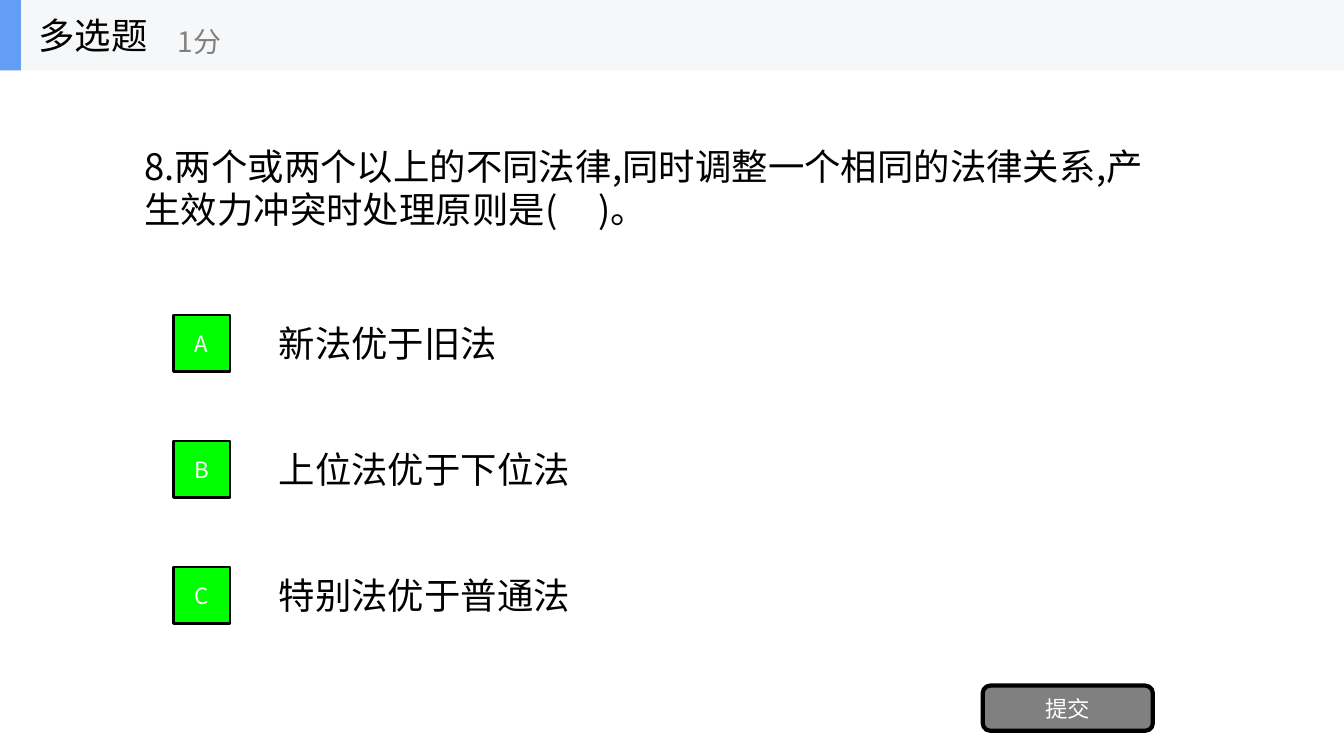
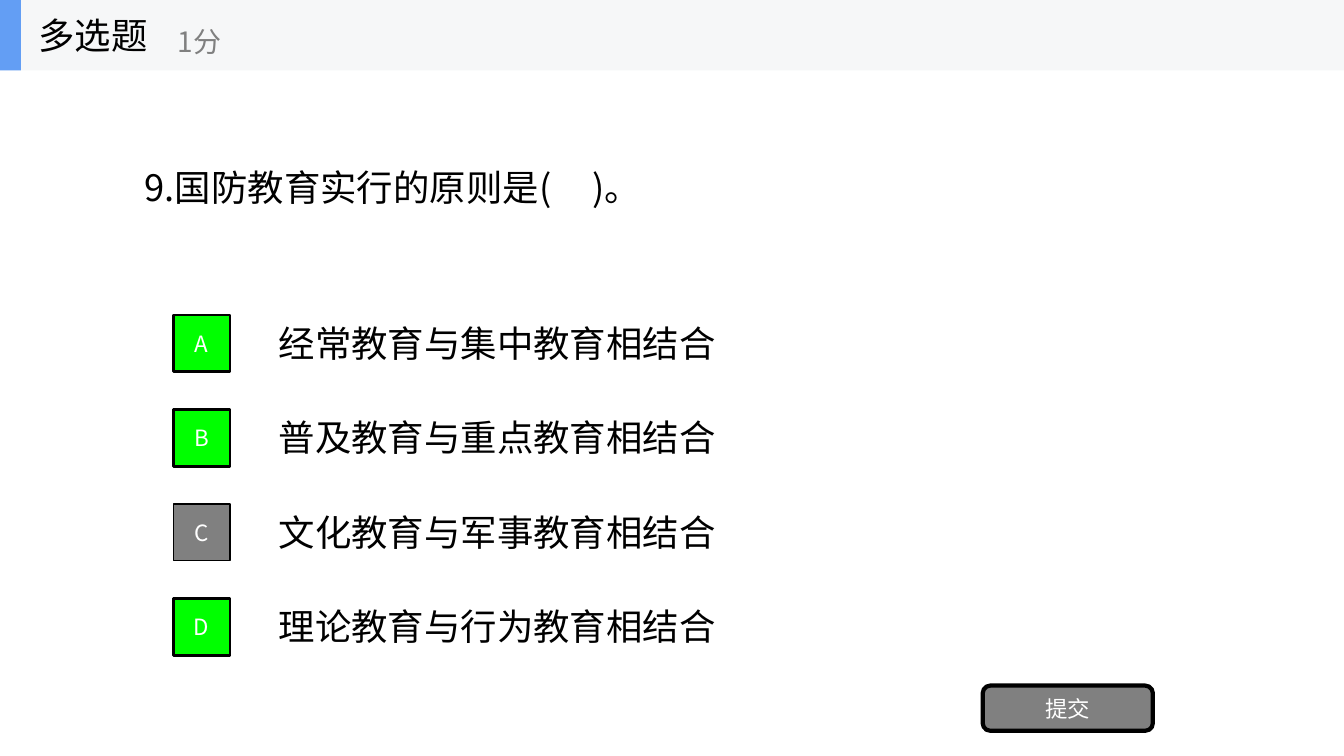
from pptx import Presentation
from pptx import util as u
from pptx.dml.color import RGBColor
from pptx.enum import shapes, text
from pptx.oxml.ns import qn
from lxml import etree

PX = 9525
FONT = "Noto Sans CJK SC"
COLORS = {
    "ink": "000000",
    "paper": "FFFFFF",
    "band": "F6F7F8",
    "accent": "639EF4",
    "right": "00FF00",
    "muted": "808080",
}
QUESTIONS = [
    {
        "title": "8.两个或两个以上的不同法律,同时调整一个相同的法律关系,产生效力冲突时处理原则是(     )。",
        "width": 1000,
        "pitch": 120,
        "answers": "ABC",
        "options": ["新法优于旧法", "上位法优于下位法", "特别法优于普通法"],
    },
    {
        "title": "9.国防教育实行的原则是(     )。",
        "width": 515,
        "pitch": 90,
        "answers": "ABD",
        "options": [
            "经常教育与集中教育相结合",
            "普及教育与重点教育相结合",
            "文化教育与军事教育相结合",
            "理论教育与行为教育相结合",
        ],
    },
]


def write(box, words, size, color, align=text.PP_ALIGN.LEFT):
    frame = box.text_frame
    frame.text = words
    frame.word_wrap = True
    frame.auto_size = text.MSO_AUTO_SIZE.NONE
    frame.vertical_anchor = text.MSO_ANCHOR.MIDDLE
    para = frame.paragraphs[0]
    para.alignment = align
    for span in para.runs:
        span.font.size = u.Pt(size)
        span.font.name = FONT
        span.font.color.rgb = RGBColor.from_string(COLORS[color])
        east_asian = etree.SubElement(span.font._element, qn("a:ea"))
        east_asian.set("typeface", FONT)


def add_block(parent, kind, place, fill, border=0, words=""):
    block = parent.add_shape(kind, *[n * PX for n in place])
    block.shadow.inherit = False
    block.fill.solid()
    block.fill.fore_color.rgb = RGBColor.from_string(COLORS[fill])
    if border:
        block.line.color.rgb = RGBColor.from_string(COLORS["ink"])
        block.line.width = u.Pt(border)
    else:
        block.line.fill.background()
    if words:
        write(block, words, 16, "paper", text.PP_ALIGN.CENTER)


RECTANGLE = shapes.MSO_SHAPE.RECTANGLE
ROUNDED = shapes.MSO_SHAPE.ROUNDED_RECTANGLE

deck = Presentation()
deck.slide_width = 1280 * PX
deck.slide_height = 720 * PX

for question in QUESTIONS:
    page = deck.slides.add_slide(deck.slide_layouts[5])

    title = page.shapes.title
    title.left, title.top = 128 * PX, 132 * PX
    title.width, title.height = question["width"] * PX, 93 * PX
    write(title, question["title"], 26, "ink")

    for row, option in enumerate(question["options"]):
        top = 300 + row * question["pitch"]
        letter = "ABCD"[row]
        correct = letter in question["answers"]
        box = page.shapes.add_textbox(256 * PX, (top + 1) * PX, 446 * PX, 51 * PX)
        write(box, option, 26, "ink")
        add_block(page.shapes, RECTANGLE, (165, top, 54, 54),
                  "right" if correct else "muted", 2 if correct else 1, letter)

    add_block(page.shapes, ROUNDED, (936, 653, 162, 43), "muted", 3, "提交")

    header = page.shapes.add_group_shape().shapes
    add_block(header, RECTANGLE, (0, 0, 1280, 67), "band")
    add_block(header, RECTANGLE, (0, 0, 20, 67), "accent")
    heading = header.add_textbox(27 * PX, 0, 200 * PX, 67 * PX)
    write(heading, "多选题", 26, "ink")
    score = header.add_textbox(160 * PX, 12 * PX, 240 * PX, 54 * PX)
    write(score, "1分", 20, "muted")

deck.save("out.pptx")
